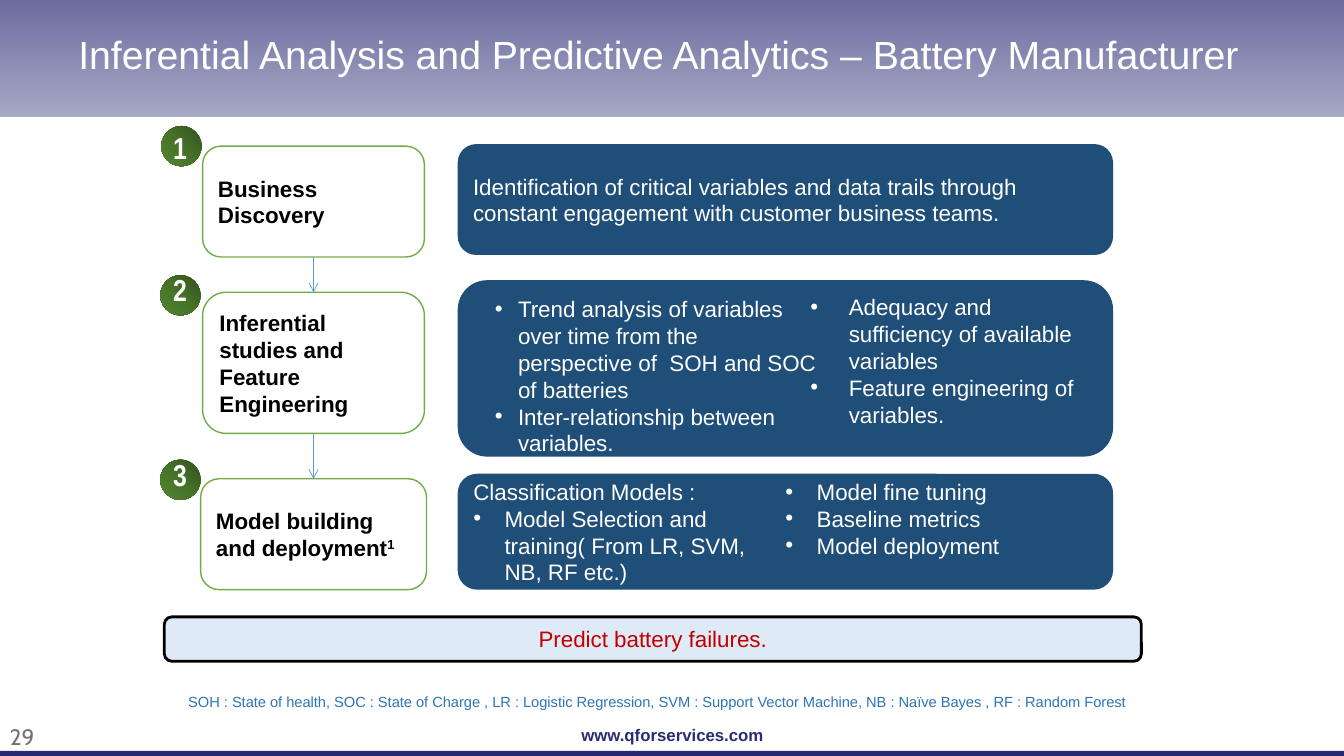
from lxml import etree
from pptx import Presentation
from pptx import util as u
from pptx.dml.color import RGBColor
from pptx.enum import shapes, text
from pptx.oxml.ns import qn

WIDTH, HEIGHT = 13.33, 7.5
COLORS = {
    "navy": "282A73", "rule": "272973", "site": "2A2C74", "grey": "767171",
    "white": "FFFFFF", "black": "000000", "green": "70AD47", "panel": "1F4E79",
    "arrow": "5B9BD5", "pale": "DEEBF7", "red": "C00000", "note": "2E75B6",
    "leaf_dark": "31501C", "leaf": "467228", "leaf_light": "538730",
}
# Gradient stops: position %, colour, opacity %
HEADER_STOPS = [(0, "navy", 70), (100, "navy", 40)]
BADGE_STOPS = [(0, "leaf_dark", 100), (50, "leaf", 100), (100, "leaf_light", 100)]

TITLE = "Inferential Analysis and Predictive Analytics – Battery Manufacturer"
SITE = "www.qforservices.com"
PAGE = "29"
OUTCOME = "Predict battery failures."
NOTE = ("SOH : State of health, SOC : State of Charge , LR : Logistic Regression, "
        "SVM : Support Vector Machine, NB : Naïve Bayes , RF : Random Forest")

# Step label, footnote mark, then (left, top, width, height) of its box,
# (left, top) of its badge, top of its number, (top, height) of its panel
STEPS = [
    ("Business Discovery", "", (2.01, 1.45, 2.2, 1.1), (1.6, 1.25), 1.23, (1.43, 1.1)),
    ("Inferential studies and Feature Engineering", "",
     (2.01, 2.9, 2.2, 1.4), (1.59, 2.73), 2.64, (2.78, 1.75)),
    ("Model building and deployment", "1",
     (1.99, 4.75, 2.24, 1.1), (1.59, 4.56), 4.48, (4.7, 1.15)),
]
PANEL_LEFT, PANEL_WIDTH = 4.54, 6.5
BADGE_SIZE = 0.4
DISCOVERY = ["Identification of critical variables and data trails through "
             "constant engagement with customer business teams."]
MODELS = [
    "Classification Models :",
    "Model Selection and training( From LR, SVM, NB, RF etc.)",
    "Model fine tuning", "Baseline metrics", "Model deployment",
]
# Box, bullet indent, bullets
STUDIES = [
    ((4.81, 2.88, 3.4, 1.72), 0.23, [
        "Trend analysis of variables over time from the perspective of  SOH and SOC of batteries",
        "Inter-relationship between variables."]),
    ((7.94, 2.86, 3, 1.72), 0.38, [
        "Adequacy and sufficiency of available variables",
        "Feature engineering of  variables."]),
]

presentation = Presentation()
presentation.slide_width, presentation.slide_height = u.Inches(WIDTH), u.Inches(HEIGHT)
slide = presentation.slides.add_slide(presentation.slide_layouts[6])


def rgb(name):
    return RGBColor.from_string(COLORS[name])


def add_box(kind, place, fill=None, line=None, weight=1):
    shape = slide.shapes.add_shape(kind, *map(u.Inches, place))
    shape.shadow.inherit = False
    if fill:
        shape.fill.solid()
        shape.fill.fore_color.rgb = rgb(fill)
    else:
        shape.fill.background()
    if line:
        shape.line.color.rgb = rgb(line)
        shape.line.width = u.Pt(weight)
    else:
        shape.line.fill.background()
    return shape


def add_round(*args):
    return add_box(shapes.MSO_SHAPE.ROUNDED_RECTANGLE, *args)


def set_gradient(shape, stops, clockwise):
    shape.fill.gradient()
    shape.fill.gradient_angle = 360 - clockwise
    stop_list = shape._element.spPr.find(".//" + qn("a:gsLst"))
    for stop in list(stop_list):
        stop_list.remove(stop)
    for position, name, opacity in stops:
        stop = etree.SubElement(stop_list, qn("a:gs"), pos=str(position * 1000))
        color = etree.SubElement(stop, qn("a:srgbClr"), val=COLORS[name])
        etree.SubElement(color, qn("a:alpha"), val=str(opacity * 1000))


def add_bullet(paragraph, indent):
    properties = paragraph._p.get_or_add_pPr()
    properties.set("marL", str(u.Inches(indent)))
    properties.set("indent", str(-u.Inches(indent)))
    etree.SubElement(properties, qn("a:buFont"), typeface="Arial")
    etree.SubElement(properties, qn("a:buChar"), char="•")


def write(shape, lines, color, size=16, bold=False, font="Arial", indent=0, plain=0,
          align=text.PP_ALIGN.LEFT, anchor=text.MSO_ANCHOR.TOP):
    """Fill a shape with paragraphs; those after the first `plain` ones get bullets."""
    frame = shape.text_frame
    frame.word_wrap = True
    frame.vertical_anchor = anchor
    frame.text = "\n".join(lines)
    for index, paragraph in enumerate(frame.paragraphs):
        paragraph.alignment = align
        if indent and index >= plain:
            add_bullet(paragraph, indent)
        for run in paragraph.runs:
            run.font.name, run.font.size, run.font.bold = font, u.Pt(size), bold
            run.font.color.rgb = rgb(color)
    return frame


def add_label(place, lines, color, **style):
    return write(slide.shapes.add_textbox(*map(u.Inches, place)), lines, color, **style)


def add_arrow(upper, lower):
    arrow = slide.shapes.add_connector(shapes.MSO_CONNECTOR.STRAIGHT, 0, 0, 0, 0)
    arrow.begin_connect(upper, 2)
    arrow.end_connect(lower, 0)
    arrow.line.color.rgb = rgb("arrow")
    arrow.line.width = u.Pt(0.5)
    etree.SubElement(arrow.line._get_or_add_ln(), qn("a:tailEnd"), type="arrow")
    etree.SubElement(arrow._element.spPr, qn("a:effectLst"))


CENTER, MIDDLE = text.PP_ALIGN.CENTER, text.MSO_ANCHOR.MIDDLE

# Header and footer
header = add_box(shapes.MSO_SHAPE.RECTANGLE, (0, -0.03, WIDTH, 1.19))
set_gradient(header, HEADER_STOPS, 90)
add_box(shapes.MSO_SHAPE.RECTANGLE, (0, HEIGHT - 0.05, WIDTH, 0.05), "rule")
add_label((5.06, 7.14, 3.22, 0.3), [SITE], "site", size=12, bold=True, align=CENTER)
add_label((0, 7.13, 0.99, 0.37), [PAGE], "grey", font="Cabin")
add_label((0.21, 0.25, 12.64, 0.67), [TITLE], "white", size=28, align=CENTER)

# Steps with their panels
boxes, panels = [], []
for number, (label, mark, place, badge_at, number_top, (top, height)) in enumerate(STEPS, 1):
    box = add_round(place, "white", "green")
    frame = write(box, [label], "black", bold=True, anchor=MIDDLE)
    if mark:
        run = frame.paragraphs[0].add_run()
        run.text = mark
        run.font.name, run.font.size, run.font.bold = "Arial", u.Pt(16), True
        run.font.color.rgb = rgb("black")
        run.font._element.set("baseline", "30000")
    boxes.append(box)
    panels.append(add_round((PANEL_LEFT, top, PANEL_WIDTH, height), "panel"))
    badge = add_box(shapes.MSO_SHAPE.OVAL, (*badge_at, BADGE_SIZE, BADGE_SIZE))
    set_gradient(badge, BADGE_STOPS, 135)
    add_label((1.62, number_top, 0.26, 0.46), [str(number)], "white",
              size=21.6, bold=True, font="Arial Narrow")
for upper, lower in zip(boxes, boxes[1:]):
    add_arrow(upper, lower)

write(panels[0], DISCOVERY, "white", anchor=MIDDLE)
for place, indent, bullets in STUDIES:
    add_label(place, bullets, "white", indent=indent)
models = write(panels[2], MODELS, "white", indent=0.31, plain=1, anchor=MIDDLE)
models._txBody.bodyPr.set("numCol", "2")

# Outcome and abbreviations
outcome = add_round((1.63, 6.12, 9.69, 0.44), "pale", "black", 2)
note = add_round((0.62, 6.79, 11.81, 0.44))
for shape, line, color, size in ((outcome, OUTCOME, "red", 16), (note, NOTE, "note", 10.5)):
    frame = write(shape, [line], color, size=size, align=CENTER)
    frame.margin_left = frame.margin_right = u.Inches(0.12)
    frame.margin_top = frame.margin_bottom = u.Inches(0.06)

presentation.save("out.pptx")
